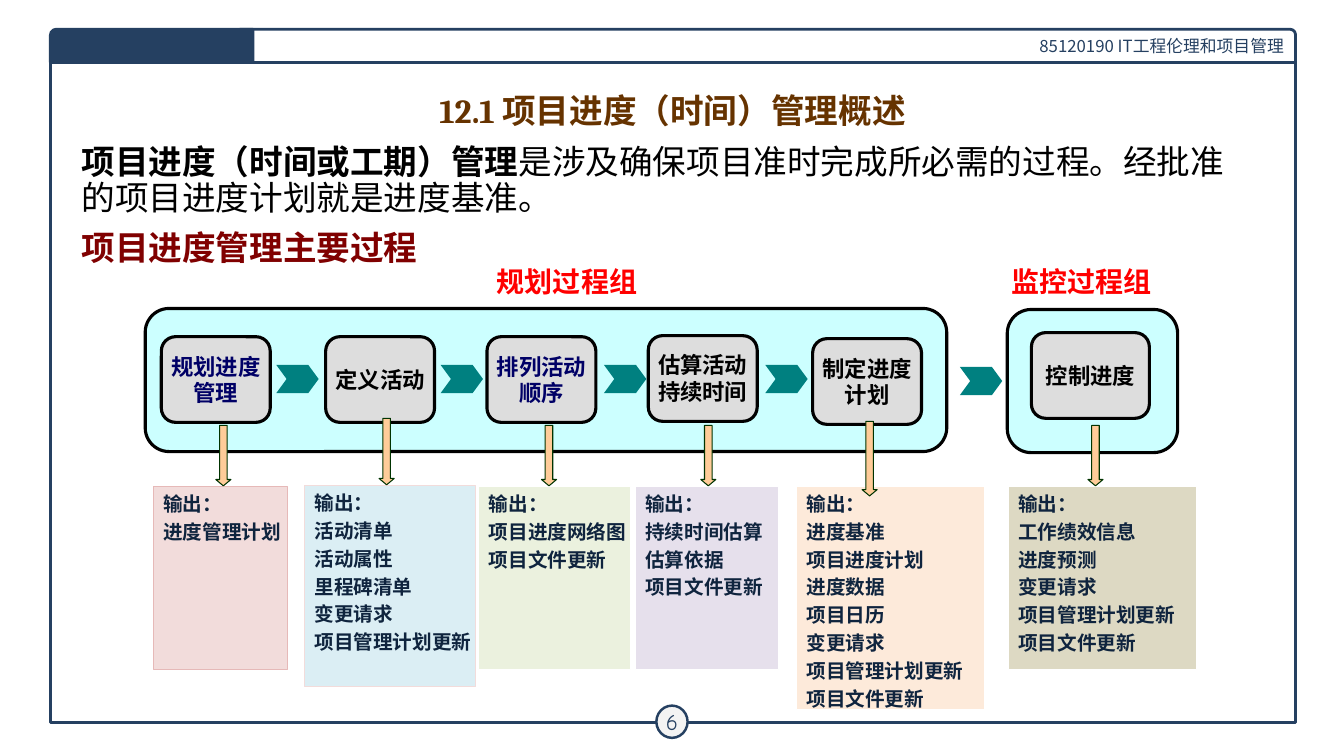
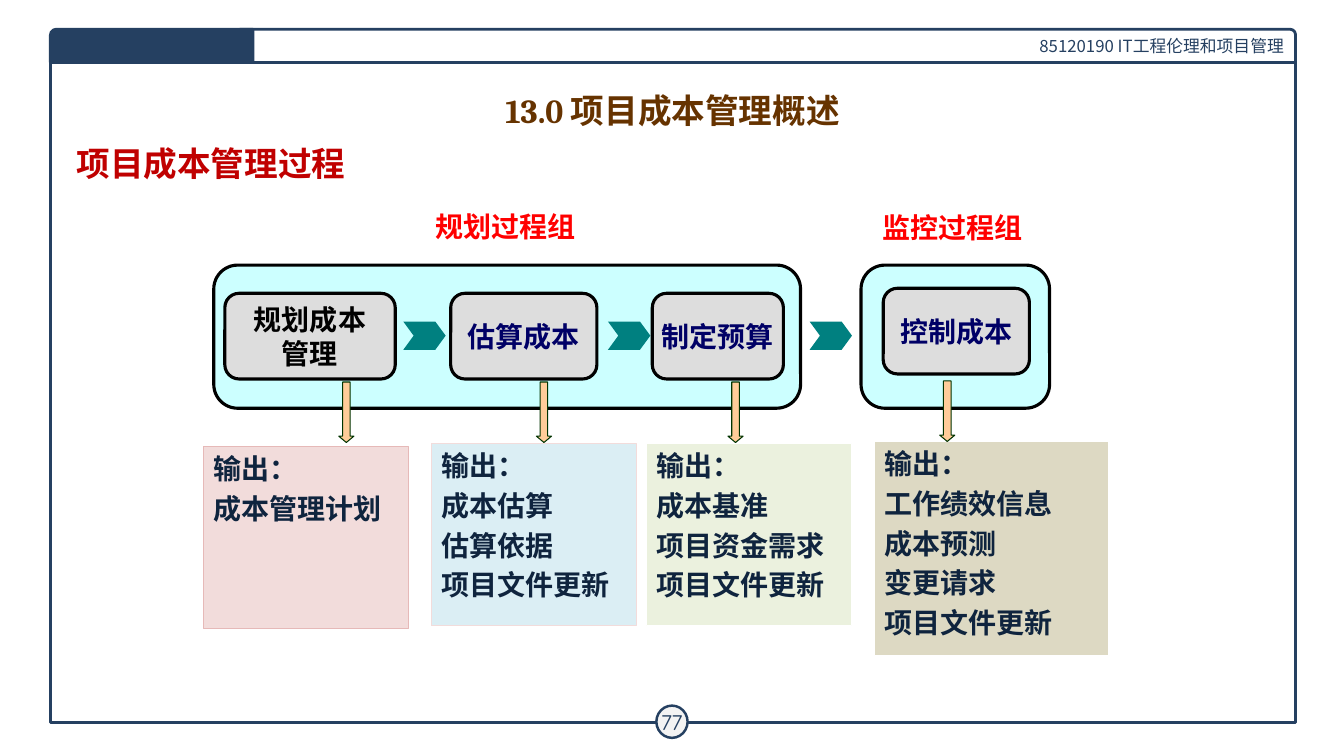
from typing import NamedTuple

from lxml import etree
from pptx import Presentation
from pptx import util as u
from pptx.dml.color import RGBColor
from pptx.enum import shapes, text
from pptx.oxml.ns import qn

PX = 9144  # EMU per px, 100 px to the inch
SHAPE = shapes.MSO_SHAPE
ALIGN = text.PP_ALIGN
ANCHOR = text.MSO_ANCHOR

# Shared colours and fonts
NAVY, BROWN, RED, BLACK, INDIGO = "254061", "663300", "FF0000", "000000", "000066"
PINK, BLUE, GREEN = ("F2DCDB", "E6B9B8"), ("DBEEF4", "F2DCDB"), ("EBF1DE", "FFFFFF")
PURPLE, ORANGE, TAN = ("E6E0EC", "FFFFFF"), ("FDEADA", "FFFFFF"), ("DDD9C3", "FFFFFF")
SANS, TIMES, ARIAL = "Noto Sans CJK SC", "Times New Roman", "Arial"


def colour(value):
    return RGBColor.from_string(value)


class Stage(NamedTuple):
    """One process step with its output box and the arrow between them."""
    name: str
    ink: str
    font: str
    box: tuple      # left, top, width
    arrow: tuple    # left, top, height
    tint: tuple     # fill, line
    output: tuple   # left, top, width, height
    items: str


class Deck:
    def __init__(self):
        self.presentation = Presentation()
        self.presentation.slide_width = u.Emu(1333 * PX)
        self.presentation.slide_height = u.Emu(750 * PX)
        self.slide = None

    # Text
    def style(self, run, size, ink, font, bold):
        run.font.size = u.Pt(size)
        run.font.bold = bold
        run.font.color.rgb = colour(ink)
        run.font.name = font
        east_asian = etree.SubElement(run.font._element, qn("a:ea"))
        east_asian.set("typeface", SANS)

    def put_text(self, shape, content, size, ink, font=SANS, bold=True, align=ALIGN.LEFT,
                 anchor=ANCHOR.TOP, wrap=False, gap=0):
        frame = shape.text_frame
        frame.text = content
        frame.word_wrap = wrap
        frame.vertical_anchor = anchor
        for index, paragraph in enumerate(frame.paragraphs):
            paragraph.alignment = align
            if index and gap:
                paragraph.space_before = u.Pt(gap)
            for run in paragraph.runs:
                self.style(run, size, ink, font, bold)

    def label(self, at, content, size, ink, **options):
        box = self.slide.shapes.add_textbox(*(u.Emu(n * PX) for n in at))
        self.put_text(box, content, size, ink, **options)
        return box

    # Shapes
    def shape(self, kind, at, fill=None, line=None, weight=0.75, adjust=()):
        shape = self.slide.shapes.add_shape(kind, *(u.Emu(n * PX) for n in at))
        shape.shadow.inherit = False
        for index, value in enumerate(adjust):
            shape.adjustments[index] = value
        if fill:
            shape.fill.solid()
            shape.fill.fore_color.rgb = colour(fill)
        else:
            shape.fill.background()
        if line:
            shape.line.color.rgb = colour(line)
            shape.line.width = u.Pt(weight)
        else:
            shape.line.fill.background()
        return shape

    def rounded(self, at, fill):
        return self.shape(SHAPE.FLOWCHART_ALTERNATE_PROCESS, at, fill, BLACK, 2.25)

    # Page frame, header, number and title
    def page(self, number, title):
        self.slide = self.presentation.slides.add_slide(self.presentation.slide_layouts[6])
        self.shape(SHAPE.RECTANGLE, (50, 50, 1235, 667), None, NAVY, 2)
        header = self.shape(SHAPE.ROUND_1_RECTANGLE, (238, 29, 1047, 33), "FFFFFF", NAVY, 2)
        self.put_text(header, "85120190 IT工程伦理和项目管理", 12, NAVY, bold=False,
                      align=ALIGN.RIGHT, anchor=ANCHOR.MIDDLE, wrap=True)
        badge = self.shape(SHAPE.OVAL, (651, 700, 31, 32), "F3F3F3", NAVY, 1.75)
        self.put_text(badge, number, 16, NAVY, "Comic Neue", False, ALIGN.CENTER,
                      ANCHOR.MIDDLE)
        frame = badge.text_frame
        frame.margin_left = frame.margin_right = u.Emu(4 * PX)
        frame.margin_top = frame.margin_bottom = u.Emu(4 * PX)
        tab = self.shape(SHAPE.ROUND_1_RECTANGLE, (50, 29, 201, 33), NAVY, NAVY, 2, [0.175])
        tab._element.spPr.find(qn("a:xfrm")).set("flipH", "1")
        self.label((67, 84, 1200, 48), title, 24, BROWN, font="Cambria",
                   align=ALIGN.CENTER, wrap=True)

    # Process flow
    def groups(self, planning, control):
        for at in (control, planning):
            self.rounded(at, "CCFFFF")

    def chevrons(self, top, lefts):
        for left in lefts:
            self.shape(SHAPE.CHEVRON, (left, top, 42, 28), "008080", adjust=[0.366])

    def stage(self, stage, name_size, item_size, item_font):
        box = self.rounded((*stage.box, 85), "DDDDDD")
        self.put_text(box, stage.name, name_size, stage.ink, stage.font,
                      align=ALIGN.CENTER, anchor=ANCHOR.MIDDLE)
        output = self.shape(SHAPE.RECTANGLE, stage.output, *stage.tint)
        self.put_text(output, "输出：\n" + stage.items, item_size, "0F243E", item_font,
                      gap=round(item_size * 0.22, 1))
        left, top, height = stage.arrow
        self.shape(SHAPE.DOWN_ARROW, (left, top, 15, height), "FFCC99", "003300",
                   adjust=[0.5, 0.417])

    def group_names(self, planning, control, font):
        for (left, top), name in ((planning, "规划过程组"), (control, "监控过程组")):
            self.label((left, top, 161, 44), name, 20, RED, font=font)


SCHEDULE = [
    Stage("规划进度\n管理", INDIGO, TIMES, (160, 334, 108), (214, 422, 60),
          PINK, (152, 483, 133, 181), "进度管理计划"),
    Stage("定义活动", BLACK, TIMES, (323, 334, 108), (376, 415, 66),
          BLUE, (302, 482, 170, 199), "活动清单\n活动属性\n里程碑清单\n变更请求\n项目管理计划更新"),
    Stage("排列活动\n顺序", INDIGO, TIMES, (483, 334, 108), (537, 422, 60),
          GREEN, (475, 483, 150, 181), "项目进度网络图\n项目文件更新"),
    Stage("估算活动\n持续时间", BLACK, ARIAL, (643, 333, 108), (695, 422, 60),
          PURPLE, (630, 483, 142, 181), "持续时间估算\n估算依据\n项目文件更新"),
    Stage("制定进度\n计划", BLACK, ARIAL, (806, 336, 108), (855, 418, 74),
          ORANGE, (790, 483, 187, 221),
          "进度基准\n项目进度计划\n进度数据\n项目日历\n变更请求\n项目管理计划更新\n项目文件更新"),
    Stage("控制进度", BLACK, ARIAL, (1023, 330, 117), (1079, 422, 60),
          TAN, (1000, 483, 187, 181),
          "工作绩效信息\n进度预测\n变更请求\n项目管理计划更新\n项目文件更新"),
]

COST = [
    Stage("规划成本\n管理", BLACK, SANS, (223, 291, 169), (336, 379, 60),
          PINK, (202, 443, 203, 181), "成本管理计划"),
    Stage("估算成本", INDIGO, SANS, (447, 291, 145), (532, 379, 60),
          BLUE, (428, 440, 203, 181), "成本估算\n估算依据\n项目文件更新"),
    Stage("制定预算", INDIGO, SANS, (647, 291, 130), (722, 379, 60),
          GREEN, (641, 440, 204, 181), "成本基准\n项目资金需求\n项目文件更新"),
    Stage("控制成本", INDIGO, SANS, (876, 286, 145), (932, 378, 60),
          TAN, (867, 438, 233, 212), "工作绩效信息\n成本预测\n变更请求\n项目文件更新"),
]


def schedule_slide(deck):
    deck.page("6", "12.1 项目进度（时间）管理概述")
    deck.groups((144, 306, 795, 142), (999, 307, 169, 142))
    deck.chevrons(362, (274, 437, 599, 759))
    deck.chevrons(364, (952,))
    for stage in SCHEDULE:
        deck.stage(stage, 16, 14, ARIAL)
    deck.group_names((483, 257), (993, 257), TIMES)
    deck.label((71, 220, 359, 50), "项目进度管理主要过程", 24, "800000")
    definition = deck.label((71, 139, 1178, 83), "项目进度（时间或工期）管理", 24, BLACK, wrap=True)
    paragraph = definition.text_frame.paragraphs[0]
    paragraph.line_spacing = 0.9
    run = paragraph.add_run()
    run.text = "是涉及确保项目准时完成所必需的过程。经批准的项目进度计划就是进度基准。"
    deck.style(run, 24, BLACK, SANS, False)


def cost_slide(deck):
    deck.page("77", "13.0 项目成本管理概述")
    deck.label((66, 137, 1200, 50), "项目成本管理过程", 24, "C00000", wrap=True)
    deck.groups((212, 263, 582, 142), (854, 263, 187, 142))
    deck.chevrons(319, (400, 603, 803))
    for stage in COST:
        deck.stage(stage, 20, 20, SANS)
    deck.group_names((422, 203), (865, 204), SANS)


def main():
    deck = Deck()
    schedule_slide(deck)
    cost_slide(deck)
    deck.presentation.save("out.pptx")


if __name__ == "__main__":
    main()
